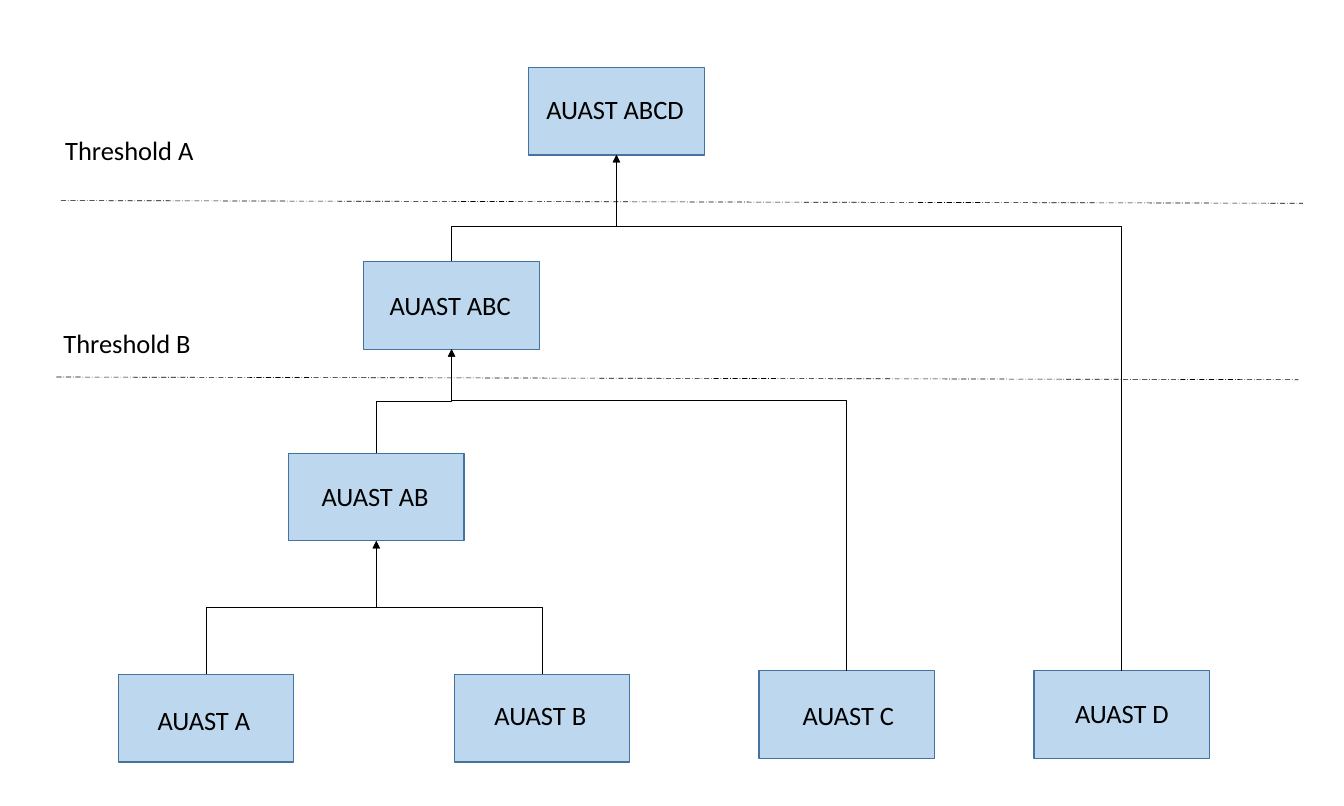
from collections import namedtuple

from lxml.etree import SubElement
from pptx import Presentation
from pptx.dml.color import RGBColor
from pptx.enum.dml import MSO_LINE
from pptx.enum.shapes import MSO_CONNECTOR, MSO_SHAPE
from pptx.oxml.ns import qn
from pptx.util import Inches, Pt

WHITE = RGBColor(0xFF, 0xFF, 0xFF)
BLACK = RGBColor(0x00, 0x00, 0x00)
NODE_FILL = RGBColor(0xBD, 0xD7, 0xEE)
NODE_LINE = RGBColor(0x43, 0x73, 0x9E)

NODE_WIDTH, NODE_HEIGHT, LABEL_HEIGHT = 1.96, 0.98, 0.46

Box = namedtuple("Box", "left top width height")
Node = namedtuple("Node", "left top label_dx label_dy label_width")

# Node corner, then label offset from that corner and label width
NODES = {
    "ABCD": Node(5.9, 0.75, 0.1, 0.24, 1.86),
    "ABC": Node(4.06, 2.92, 0.19, 0.26, 1.86),
    "AB": Node(3.22, 5.06, 0.27, 0.25, 1.52),
    "A": Node(1.32, 7.53, 0.34, 0.28, 1.29),
    "B": Node(5.07, 7.53, 0.35, 0.23, 1.29),
    "C": Node(8.47, 7.49, 0.39, 0.27, 1.29),
    "D": Node(11.54, 7.49, 0.36, 0.24, 1.29),
}

# Child, parent, height of the horizontal run
MERGES = [
    ("A", "AB", 6.78),
    ("B", "AB", 6.78),
    ("C", "ABC", 4.47),
    ("AB", "ABC", 4.48),
    ("D", "ABCD", 2.53),
    ("ABC", "ABCD", 2.53),
]

# Label corner, then start of the dashed line
THRESHOLDS = [
    ("Threshold A", (0.63, 1.45), (0.68, 2.24)),
    ("Threshold B", (0.61, 3.6), (0.63, 4.21)),
]


def add_label(page, box, text):
    label = page.shapes.add_textbox(*map(Inches, box))
    label.text_frame.word_wrap = True
    span = label.text_frame.paragraphs[0].add_run()
    span.text = text
    span.font.name = "Calibri"
    span.font.size = Pt(21.3)
    span.font.color.rgb = BLACK


def add_line(page, kind, start, end):
    line = page.shapes.add_connector(kind, *map(Inches, start + end))
    line.line.color.rgb = BLACK
    line.line.width = Pt(0.5)
    SubElement(line._element.spPr, qn("a:effectLst"))
    return line


def add_node(page, box, text, node):
    shape = page.shapes.add_shape(MSO_SHAPE.RECTANGLE, *map(Inches, box))
    shape.shadow.inherit = False
    shape.fill.solid()
    shape.fill.fore_color.rgb = NODE_FILL
    shape.line.color.rgb = NODE_LINE
    shape.line.width = Pt(1)
    label_box = Box(box.left + node.label_dx, box.top + node.label_dy,
                    node.label_width, LABEL_HEIGHT)
    add_label(page, label_box, text)


def add_merge(page, child, parent, run_y):
    """Join the top of a child box to the bottom of its parent box."""
    start_x, start_y = child.left + child.width / 2, child.top
    end_x, end_y = parent.left + parent.width / 2, parent.top + parent.height
    rise, reach = start_y - end_y, abs(start_x - end_x)
    centre_x, centre_y = (start_x + end_x) / 2, (start_y + end_y) / 2
    side = 1 if start_x > end_x else -1

    # The elbow is laid on its side, then turned a quarter to run upwards
    link = add_line(page, MSO_CONNECTOR.ELBOW,
                    (centre_x - side * rise / 2, centre_y + reach / 2),
                    (centre_x + side * rise / 2, centre_y - reach / 2))
    properties = link._element.spPr
    quarter_turns = 3 if side > 0 else 1
    properties.find(qn("a:xfrm")).set("rot", str(quarter_turns * 5400000))

    # Bend position and arrowhead
    bend = round((start_y - run_y) / rise * 100000)
    guides = properties.find(qn("a:prstGeom")).get_or_add_avLst()
    SubElement(guides, qn("a:gd"), name="adj1", fmla=f"val {bend}")
    SubElement(properties.find(qn("a:ln")), qn("a:tailEnd"), type="triangle")


def add_tree(page, box):
    places = {
        name: Box(box.left + node.left, box.top + node.top, NODE_WIDTH, NODE_HEIGHT)
        for name, node in NODES.items()
    }
    for name, node in NODES.items():
        add_node(page, places[name], f"AUAST {name}", node)
    for child, parent, run_y in MERGES:
        add_merge(page, places[child], places[parent], box.top + run_y)


def add_thresholds(page, box):
    for text, (label_x, label_y), (line_x, line_y) in THRESHOLDS:
        start = (box.left + line_x, box.top + line_y)
        end = (start[0] + 13.86, start[1] + 0.03)
        line = add_line(page, MSO_CONNECTOR.STRAIGHT, start, end)
        line.line.dash_style = MSO_LINE.LONG_DASH_DOT
        add_label(page, Box(box.left + label_x, box.top + label_y, 1.8, LABEL_HEIGHT), text)


deck = Presentation()
deck.slide_width, deck.slide_height = Inches(15), Inches(9)
page = deck.slides.add_slide(deck.slide_layouts[6])
page.background.fill.solid()
page.background.fill.fore_color.rgb = WHITE

whole = Box(0, 0, 15, 9)
add_tree(page, whole)
add_thresholds(page, whole)
deck.save("out.pptx")
